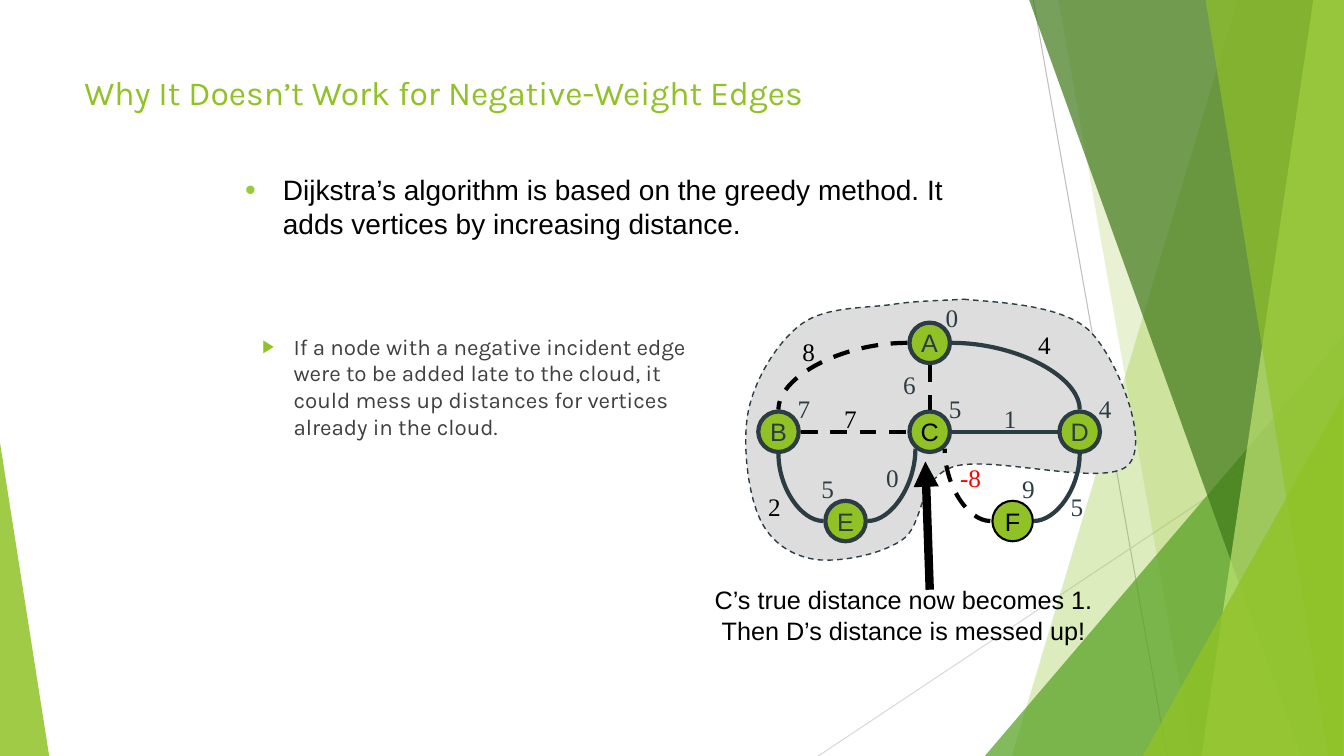
from pptx import Presentation
from pptx.dml.color import RGBColor
from pptx.enum.dml import MSO_LINE as Dash
from pptx.enum.shapes import MSO_CONNECTOR as Link, MSO_SHAPE as Form
from pptx.enum.text import MSO_ANCHOR as Anchor, PP_ALIGN as Align
from pptx.oxml.ns import qn
from pptx.util import Cm, Pt
from lxml.etree import SubElement as Sub

GREEN, SLATE, BLACK = "90C226", "2C3C43", "000000"
WIDE, HIGH, TOP = 33.87, 19.05, -0.02
SIZE, GAP = 1.02, 0.56

NODES = {
    "C": (23.43, 10.88, BLACK, SLATE, 3),
    "B": (19.62, 10.88, SLATE, SLATE, 3),
    "A": (23.43, 8.64, SLATE, SLATE, 3),
    "E": (21.31, 13.13, SLATE, SLATE, 3),
    "D": (27.21, 10.88, SLATE, SLATE, 3),
    "F": (25.52, 13.13, BLACK, BLACK, 1.5),
}
LEFT, RIGHT, ABOVE, BELOW = (-GAP, 0), (GAP, 0), (0, -GAP), (0, GAP)
EDGES = [
    ("A", LEFT, "B", ABOVE, BLACK, Link.CURVE),
    ("E", LEFT, "B", BELOW, SLATE, Link.CURVE),
    ("E", RIGHT, "C", (-0.36, 0.43), SLATE, Link.CURVE),
    ("A", BELOW, "C", ABOVE, BLACK, Link.STRAIGHT),
    ("B", RIGHT, "C", LEFT, BLACK, Link.STRAIGHT),
    ("F", (0.53, 0), "D", BELOW, SLATE, Link.CURVE),
    ("A", RIGHT, "D", ABOVE, SLATE, Link.CURVE),
    ("C", RIGHT, "D", LEFT, SLATE, Link.STRAIGHT),
    ("F", LEFT, "C", (0.38, 0.43), BLACK, Link.CURVE),
]
LABELS = [
    ("0", 23.99, 7.49, SLATE), ("4", 27.85, 9.79, SLATE), ("5", 24.07, 9.79, SLATE),
    ("7", 20.26, 9.79, SLATE), ("5", 20.86, 11.81, SLATE), ("9", 25.92, 11.81, SLATE),
    ("4", 26.32, 8.18, BLACK), ("8", 20.38, 8.34, BLACK), ("7", 21.43, 10.03, BLACK),
    ("1", 25.46, 10.03, SLATE), ("2", 19.52, 12.26, BLACK), ("5", 27.14, 12.26, SLATE),
    ("6", 22.92, 9.19, SLATE), ("0", 22.49, 11.52, SLATE), ("-8", 24.46, 11.52, "FF0000"),
]
CLOUD = [
    (24.28, 7.54), (25.12, 7.62), (26.8, 7.67), (27.48, 8.36),
    (28.17, 9.07), (29.01, 11.18), (28.42, 11.73),
    (27.84, 12.29), (24.97, 11.46), (24.03, 11.76),
    (23.09, 12.07), (23.32, 13.21), (22.73, 13.61),
    (22.15, 14), (21.13, 14.17), (20.55, 14.1),
    (19.94, 14), (19.41, 13.67), (19.13, 13.03),
    (18.85, 12.4), (18.69, 11.13), (18.87, 10.31),
    (19.05, 9.5), (19.61, 8.59), (20.22, 8.15),
    (20.83, 7.72), (21.82, 7.77), (22.5, 7.67),
    (23.16, 7.57), (23.93, 7.57), (24.28, 7.54),
]


def tint(color):
    """Turn a hex string into a colour."""
    return RGBColor.from_string(color)


def paint(shape, fill, alpha=100, line=None, width=1, dash=None):
    """Set the fill and outline of a shape."""
    shape.shadow.inherit = False
    shape.fill.solid()
    shape.fill.fore_color.rgb = tint(fill)
    if alpha < 100:
        clr = shape.fill._xPr.find(".//" + qn("a:srgbClr"))
        Sub(clr, qn("a:alpha"), val=str(alpha * 1000))
    if line:
        shape.line.color.rgb = tint(line)
        shape.line.width = Pt(width)
        shape.line.dash_style = dash
    else:
        shape.line.fill.background()


def write(frame, text, font="Arial", size=18, color=BLACK, align=Align.LEFT,
          wrap=True, bullet=None):
    """Put formatted text in a frame."""
    frame.word_wrap = wrap
    para = frame.paragraphs[0]
    para.alignment = align
    if bullet:
        mark, hue, pct, left, hang = bullet
        props = para._p.get_or_add_pPr()
        props.set("marL", str(Cm(left)))
        props.set("indent", str(-Cm(hang)))
        Sub(Sub(props, qn("a:buClr")), qn("a:srgbClr"), val=hue)
        Sub(props, qn("a:buSzPct"), val=str(pct * 1000))
        Sub(props, qn("a:buFont"), typeface="Arial")
        Sub(props, qn("a:buChar"), char=mark)
    run = para.add_run()
    run.text = text
    run.font.name, run.font.size = font, Pt(size)
    run.font.color.rgb = tint(color)


def box(slide, text, x, y, w, h, **form):
    """Add a text box."""
    area = slide.shapes.add_textbox(Cm(x), Cm(y), Cm(w), Cm(h))
    write(area.text_frame, text, **form)


def poly(slide, dots, fill, **form):
    """Add a closed outline through the dots."""
    dots = [(Cm(x), Cm(y)) for x, y in dots]
    pen = slide.shapes.build_freeform(*dots[0])
    pen.add_line_segments(dots[1:], close=True)
    shape = pen.convert_to_shape()
    paint(shape, fill, **form)
    return shape


def bend(shape):
    """Join each three straight segments into one cubic curve."""
    legs = list(shape._element.iter(qn("a:lnTo")))
    for i in range(0, len(legs) - 2, 3):
        first, *rest = legs[i:i + 3]
        first.tag = qn("a:cubicBezTo")
        for leg in rest:
            first.append(leg[0])
            leg.getparent().remove(leg)


def wedge(slide, x, y, w, h, tip, fill, alpha):
    """Add a triangle with its tip at a share of the width."""
    shape = slide.shapes.add_shape(Form.ISOSCELES_TRIANGLE, Cm(x), Cm(y), Cm(w), Cm(h))
    shape.adjustments[0] = tip
    paint(shape, fill, alpha)


def facet(slide, top, base, fill, alpha):
    """Add a band that reaches the right edge."""
    poly(slide, [(top, TOP), (WIDE, TOP), (WIDE, HIGH), (base, HIGH)], fill, alpha=alpha)


def link(slide, start, end, color, width, kind=Link.STRAIGHT, dash=None, head=False):
    """Add a straight line or a quarter curve that leaves sideways."""
    line = slide.shapes.add_connector(kind, *(Cm(v) for v in (*start, *end)))
    line.line.color.rgb = tint(color)
    line.line.width = Pt(width)
    line.line.dash_style = dash
    props = line._element.spPr
    if kind == Link.CURVE:
        props.find(qn("a:prstGeom")).set("prst", "curvedConnector2")
    if head:
        Sub(props.find(qn("a:ln")), qn("a:tailEnd"), type="triangle")
    Sub(props, qn("a:effectLst"))


def node(slide, name):
    """Add a graph node with its letter."""
    x, y, ink, line, width = NODES[name]
    shape = slide.shapes.add_shape(Form.OVAL, Cm(x - SIZE / 2), Cm(y - SIZE / 2),
                                   Cm(SIZE), Cm(SIZE))
    paint(shape, GREEN, line=line, width=width)
    frame = shape.text_frame
    frame.vertical_anchor = Anchor.MIDDLE
    write(frame, name, color=ink, align=Align.CENTER, wrap=False)


def scene(slide):
    """Draw the green backdrop."""
    link(slide, (26.04, 0), (29.41, HIGH), "BFBFBF", 0.75)
    link(slide, (WIDE, 10.24), (20.62, HIGH), "D9D9D9", 0.75)
    facet(slide, 31.19, 25.5, GREEN, 30)
    facet(slide, 26.67, 30.05, GREEN, 20)
    wedge(slide, 24.82, 8.46, 9.04, 10.59, 1, "54A021", 72)
    facet(slide, 25.93, 32.79, "3F7819", 70)
    facet(slide, 33.1, 30.28, "C0E474", 70)
    facet(slide, 30.38, 33.48, GREEN, 65)
    wedge(slide, 28.8, 9.98, 5.05, 9.07, 1, GREEN, 80)
    wedge(slide, 0, 11.15, 1.24, 7.9, 0, GREEN, 85)


def graph(slide):
    """Draw the cloud, nodes, edges and weights."""
    bend(poly(slide, CLOUD, "DDDDDD", line=SLATE, dash=Dash.DASH))
    for name in NODES:
        node(slide, name)
    for one, out, two, into, color, kind in EDGES:
        start, end = ((NODES[n][0] + dx, NODES[n][1] + dy)
                      for n, (dx, dy) in ((one, out), (two, into)))
        link(slide, start, end, color, 3, kind, Dash.DASH if color == BLACK else None)
    for text, x, y, color in LABELS:
        w = 0.64 + 0.2 * len(text)
        box(slide, text, x - w / 2, y, w, SIZE, font="Times New Roman", color=color,
            align=Align.CENTER, wrap=False)


def main():
    """Build and save the slide."""
    deck = Presentation()
    deck.slide_width, deck.slide_height = Cm(WIDE), Cm(HIGH)
    slide = deck.slides.add_slide(deck.slide_layouts[6])
    scene(slide)
    box(slide, "Why It Doesn’t Work for Negative-Weight Edges", 1.88, 1.7, 23.88, 3.66,
        font="Karla", size=24, color=GREEN)
    box(slide, "If a node with a negative incident edge were to be added late to the cloud, "
        "it could mess up distances for vertices already in the cloud.",
        5.09, 8.26, 12.75, 6.86, font="Karla", size=16, color="404040",
        bullet=("▶", GREEN, 80, 2.06, 0.79))
    graph(slide)
    box(slide, "Dijkstra’s algorithm is based on the greedy method. It adds vertices "
        "by increasing distance.", 5.93, 4.23, 19.58, 3.25, size=20,
        bullet=("•", "99CA3C", 110, 0.95, 0.95))
    box(slide, "C’s true distance now becomes 1. Then D’s distance is messed up!",
        17.6, 14.61, 10.34, 1.8, align=Align.CENTER)
    link(slide, (23.43, 14.86), (23.32, 11.63), BLACK, 6, head=True)
    deck.save("out.pptx")


if __name__ == "__main__":
    main()
